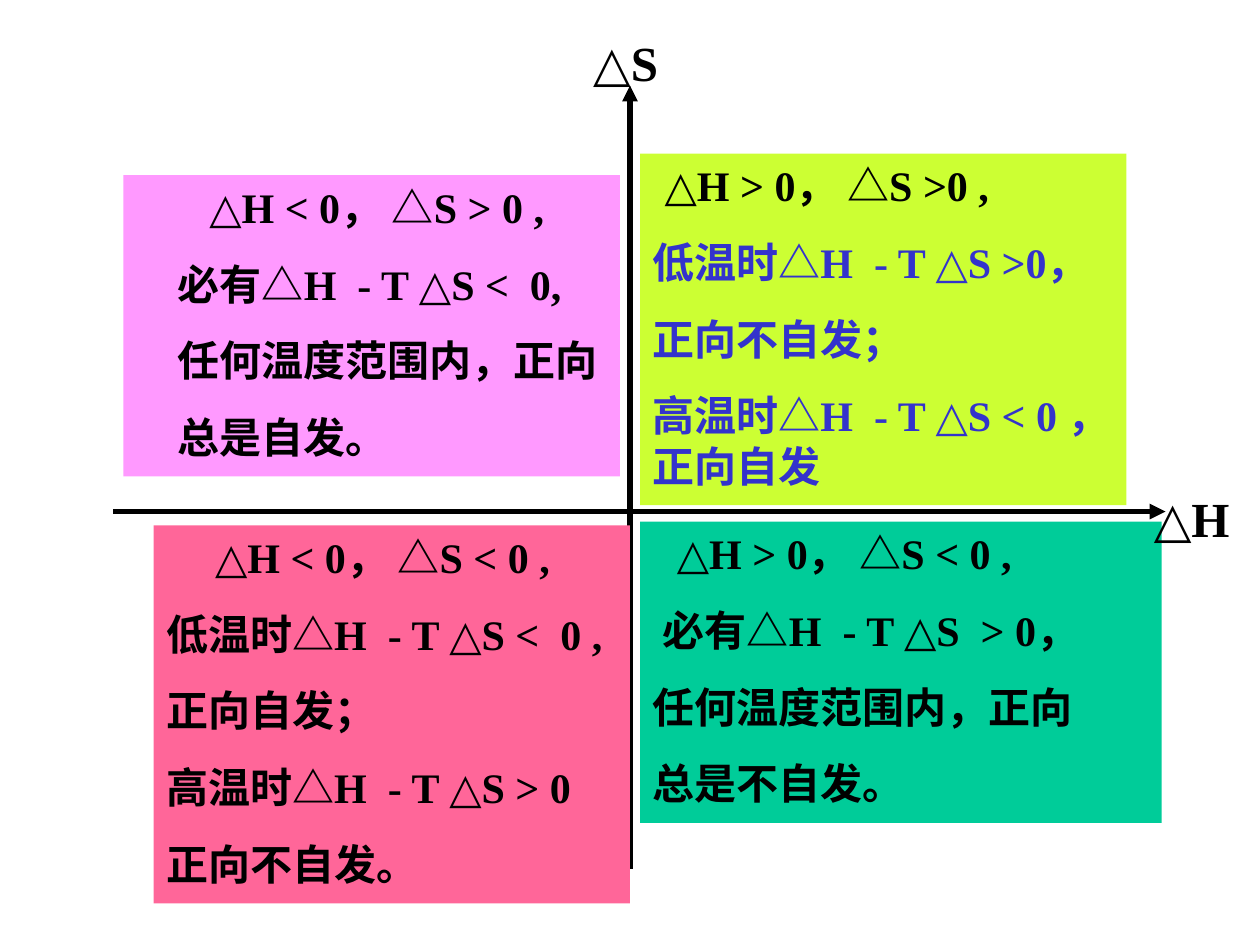
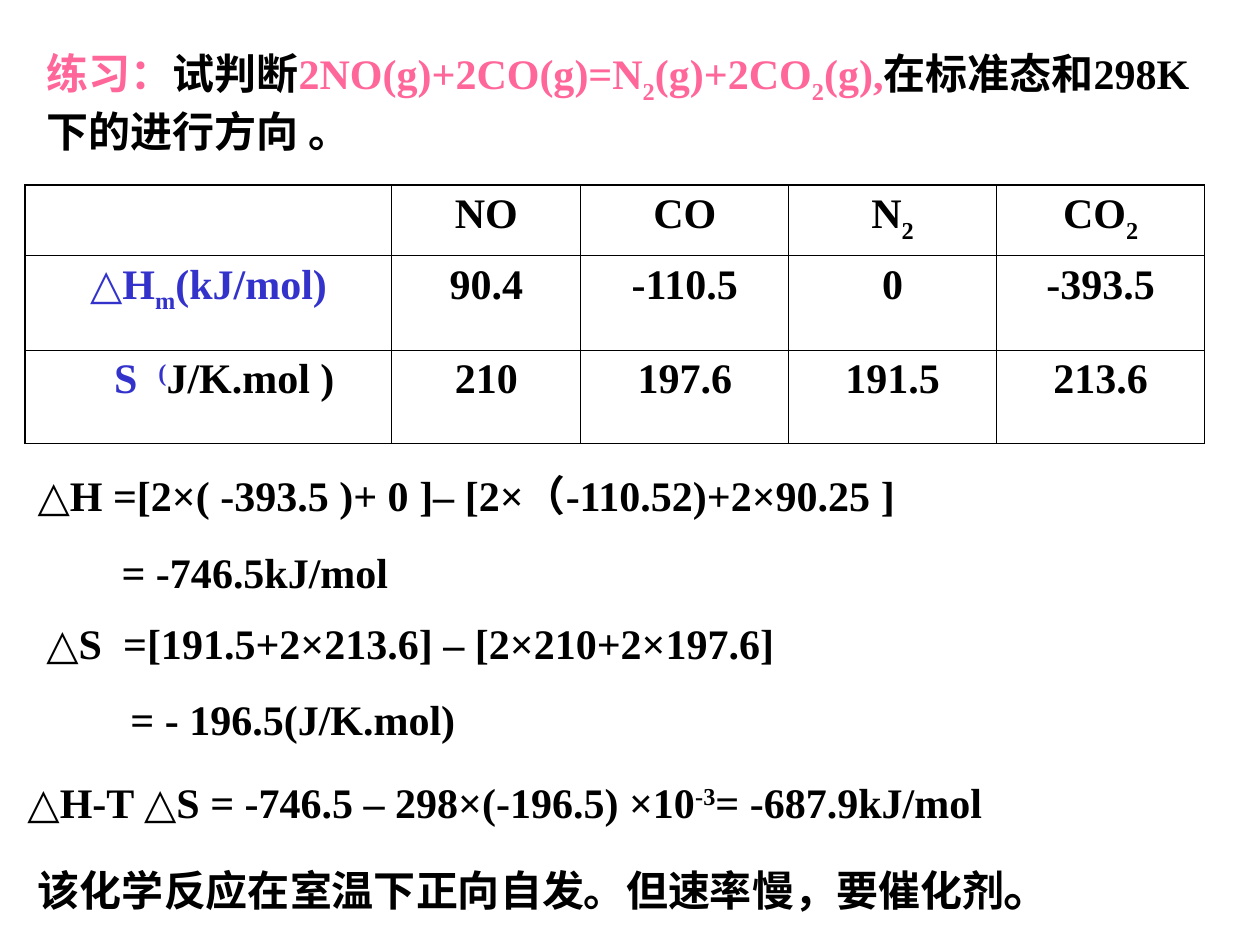
"""Build two slides on the direction of spontaneous reactions."""
from typing import NamedTuple

import pptx
import pptx.dml.color
import pptx.enum.shapes
import pptx.enum.text
import pptx.oxml
import pptx.oxml.ns
import pptx.util
from pptx.util import Inches, Pt

RGBColor = pptx.dml.color.RGBColor
BLACK = RGBColor(0, 0, 0)
BLUE = RGBColor(0x33, 0x33, 0xCC)
ROSE = RGBColor(0xFF, 0x66, 0x99)
PINK = RGBColor(0xFF, 0x99, 0xFF)
LIME = RGBColor(0xCC, 0xFF, 0x33)
GREEN = RGBColor(0, 0xCC, 0x99)
FONT = "Times New Roman"
SUBSCRIPT, SUPERSCRIPT = -25, 30
OUTER_BORDER, INNER_BORDER = 1.08, 0.45


class Piece(NamedTuple):
    """A stretch of text that differs from its paragraph."""
    text: str
    color: RGBColor = None
    baseline: int = 0
    size: float = None


class Line(NamedTuple):
    """A paragraph, with its indent and space before in points."""
    pieces: list
    indent: float = 0
    color: RGBColor = BLACK
    space: float = 15


def write_paragraph(paragraph, line, size, align, space):
    """Fill and format one paragraph."""
    properties = paragraph._p.get_or_add_pPr()
    properties.set("marL", str(Pt(line.indent)))
    properties.set("indent", "0")
    paragraph.alignment = align
    paragraph.space_before = Pt(space)
    font = paragraph.font
    font.name, font.size, font.bold = FONT, Pt(size), True
    font.color.rgb = line.color
    for piece in line.pieces:
        if isinstance(piece, str):
            piece = Piece(piece)
        run = paragraph.add_run()
        run.text = piece.text
        if piece.color is not None:
            run.font.color.rgb = piece.color
        if piece.size:
            run.font.size = Pt(piece.size)
        if piece.baseline:
            run._r.get_or_add_rPr().set("baseline", str(piece.baseline * 1000))


def write_lines(frame, lines, size=24, align=pptx.enum.text.PP_ALIGN.LEFT):
    """Write the lines into a text frame from its top."""
    frame.word_wrap = True
    frame.auto_size = pptx.enum.text.MSO_AUTO_SIZE.NONE
    frame.vertical_anchor = pptx.enum.text.MSO_ANCHOR.TOP
    for index, line in enumerate(lines):
        paragraph = frame.add_paragraph() if index else frame.paragraphs[0]
        write_paragraph(paragraph, line, size, align, line.space if index else 0)


def add_text(slide, place, lines, size=24):
    """Add a text box at left, top, width, height in inches."""
    box = slide.shapes.add_textbox(*map(Inches, place))
    write_lines(box.text_frame, lines, size)


def add_quadrant(slide, place, fill, lines):
    """Add a filled rectangle describing one quadrant."""
    shape = slide.shapes.add_shape(
        pptx.enum.shapes.MSO_SHAPE.RECTANGLE, *map(Inches, place))
    shape.shadow.inherit = False
    shape.fill.solid()
    shape.fill.fore_color.rgb = fill
    shape.line.fill.background()
    write_lines(shape.text_frame, lines)


def add_axis(slide, *ends):
    """Add an arrow between two points given in inches."""
    axis = slide.shapes.add_connector(
        pptx.enum.shapes.MSO_CONNECTOR.STRAIGHT, *map(Inches, ends))
    axis.line.color.rgb = BLACK
    axis.line.width = Pt(3)
    properties = axis._element.spPr
    head = pptx.oxml.parse_xml(
        f'<a:tailEnd {pptx.oxml.ns.nsdecls("a")} type="triangle"/>')
    axis.line._get_or_add_ln().append(head)
    properties.append(
        pptx.oxml.parse_xml(f'<a:effectLst {pptx.oxml.ns.nsdecls("a")}/>'))


def set_borders(cell, widths):
    """Draw black borders, with widths in points by side letter."""
    properties = cell._tc.get_or_add_tcPr()
    for index, (side, width) in enumerate(widths.items()):
        properties.insert(index, pptx.oxml.parse_xml(
            f'<a:ln{side} {pptx.oxml.ns.nsdecls("a")} w="{Pt(width)}">'
            f'<a:solidFill><a:srgbClr val="{BLACK}"/></a:solidFill></a:ln{side}>'))


def add_data_table(slide, place, widths, heights, rows):
    """Add an unfilled table with a heavier outer frame."""
    frame = slide.shapes.add_table(
        len(rows), len(widths), *map(Inches, place))
    table = frame.table
    table.first_row = table.horz_banding = False
    for column, width in zip(table.columns, widths):
        column.width = Inches(width)
    for row, height in zip(table.rows, heights):
        row.height = Inches(height)
    last_row, last_column = len(rows) - 1, len(widths) - 1
    for row_index, row in enumerate(rows):
        for column_index, line in enumerate(row):
            cell = table.cell(row_index, column_index)
            cell.fill.background()
            at_edge = {"L": column_index == 0, "R": column_index == last_column,
                       "T": row_index == 0, "B": row_index == last_row}
            set_borders(cell, {side: OUTER_BORDER if edge else INNER_BORDER
                               for side, edge in at_edge.items()})
            if isinstance(line, str):
                line = Line([line])
            write_paragraph(cell.text_frame.paragraphs[0], line, 24,
                            pptx.enum.text.PP_ALIGN.CENTER, 0)


def build_quadrants(slide):
    """Build the enthalpy and entropy quadrant chart."""
    add_axis(slide, 0.9, 4.06, 9.25, 4.06)
    add_axis(slide, 5, 6.9, 5, 0.68)
    add_quadrant(slide, (0.98, 1.39, 3.94, 2.39), PINK, [
        Line(["△H < 0， △S > 0 ,"], 42),
        Line(["必有△H  - T △S <  0,"], 24),
        Line(["任何温度范围内，正向"], 24),
        Line(["总是自发。"], 24)])
    add_quadrant(slide, (5.08, 4.14, 4.14, 2.39), GREEN, [
        Line(["△H > 0， △S < 0 ,"], 14),
        Line(["必有△H  - T △S  > 0，"], 6),
        Line(["任何温度范围内，正向"]),
        Line(["总是不自发。"])])
    add_quadrant(slide, (5.08, 1.22, 3.86, 2.79), LIME, [
        Line(["△H > 0， △S >0 ,"], 7),
        Line(["低温时△H  - T △S >0，"], color=BLUE),
        Line(["正向不自发；"], color=BLUE),
        Line(["高温时△H  - T △S < 0 ，正向自发"], color=BLUE)])
    add_quadrant(slide, (1.22, 4.17, 3.78, 3), ROSE, [
        Line(["△H < 0， △S < 0 ,"], 28),
        Line(["低温时△H  - T △S <  0 ,"]),
        Line(["正向自发；"]),
        Line(["高温时△H  - T △S > 0"]),
        Line(["正向不自发。"])])
    add_text(slide, (9.06, 3.83, 1.06, 0.57), [Line(["△H"])], 28)
    add_text(slide, (4.61, 0.21, 0.95, 0.57), [Line(["△S"])], 28)


def build_exercise(slide):
    """Build the worked exercise with its data table."""
    title = slide.shapes.title
    title.left, title.top, title.width, title.height = map(
        Inches, (0.27, 0.33, 9.37, 0.96))
    write_lines(title.text_frame, [Line([
        Piece("练习：", ROSE), "试判断",
        Piece("2NO(g)+2CO(g)=N", ROSE), Piece("2", ROSE, SUBSCRIPT),
        Piece("(g)+2CO", ROSE), Piece("2", ROSE, SUBSCRIPT),
        Piece("(g),", ROSE), "在标准态和298K下的进行方向 。"])])
    two = Piece("2", baseline=SUBSCRIPT)
    enthalpy = Line(["△H", Piece("m", baseline=SUBSCRIPT), "(kJ/mol)"], color=BLUE)
    entropy = Line([Piece("S  ", BLUE), Piece("(", BLUE, SUPERSCRIPT),
                    "J/K.mol )"], 18)
    add_data_table(
        slide, (0.2, 1.47, 9.37, 2.05),
        [2.91, 1.5, 1.65, 1.65, 1.65], [0.56, 0.75, 0.74],
        [[Line([]), "NO", "CO", Line(["N", two]), Line(["CO", two])],
         [enthalpy, "90.4", "-110.5", "0", "-393.5"],
         [entropy, "210", "197.6", "191.5", "213.6"]])
    add_text(slide, (0.2, 3.68, 9.45, 1.11), [
        Line(["△H =[2×( -393.5 )+ 0 ]– [2×（-110.52)+2×90.25 ]"]),
        Line(["= -746.5kJ/mol"], 48)])
    add_text(slide, (0.27, 4.85, 9.45, 1.11), [
        Line(["△S  =[191.5+2×213.6] – [2×210+2×197.6]"]),
        Line(["= - 196.5(J/K.mol)"], 48)])
    add_text(slide, (0.12, 6.11, 9.73, 1.21), [
        Line(["△H-T △S = -746.5 – 298×(-196.5) ×10",
              Piece("-3", baseline=SUPERSCRIPT), "= -687.9kJ/mol"]),
        Line(["该化学反应在室温下正向自发。但速率慢，要催化剂",
              Piece("。", size=28)], 6, space=17.5)])


def main():
    """Create the presentation and save it."""
    presentation = pptx.Presentation()
    presentation.slide_width, presentation.slide_height = Inches(10), Inches(7.5)
    layouts = presentation.slide_layouts
    build_quadrants(presentation.slides.add_slide(layouts.get_by_name("Blank")))
    build_exercise(presentation.slides.add_slide(layouts.get_by_name("Title Only")))
    presentation.save("out.pptx")


if __name__ == "__main__":
    main()
